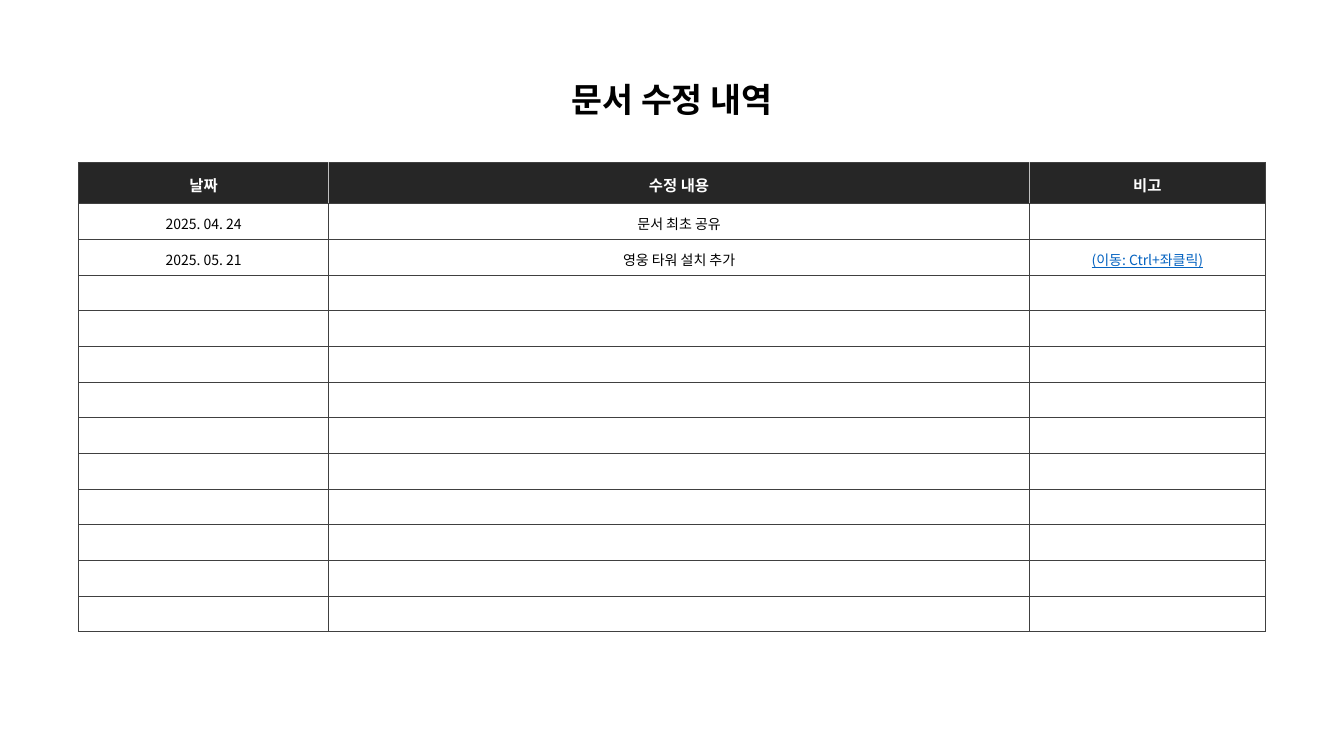
from lxml.etree import SubElement
from pptx import Presentation
from pptx.dml.color import RGBColor
from pptx.enum.text import MSO_ANCHOR, MSO_AUTO_SIZE, PP_ALIGN
from pptx.oxml.ns import qn
from pptx.util import Inches, Pt

FONT = "Noto Sans CJK KR"
DARK, GRID, LIGHT = "262626", "404040", "BFBFBF"
COLS = [2.48, 6.95, 2.34]
HEAD = ["날짜", "수정 내용", "비고"]
LOG = [
    ["2025. 04. 24", "문서 최초 공유", ""],
    ["2025. 05. 21", "영웅 타워 설치 추가", "(이동: Ctrl+좌클릭)"],
]
LINES = 12


def color(code):
    return RGBColor.from_string(code)


def write(frame, text, size=10, fill="000000", bold=False, under=False, space=1.2):
    """Put one centred line in a frame; an empty line keeps its size."""
    frame.vertical_anchor = MSO_ANCHOR.MIDDLE
    para = frame.paragraphs[0]
    para.alignment = PP_ALIGN.CENTER
    para.line_spacing = space
    if not text:
        SubElement(para._p, qn("a:endParaRPr"), sz=str(size * 100))
        return
    run = para.add_run()
    run.text = text
    font = run.font
    font.name, font.size, font.bold = FONT, Pt(size), bold
    font.underline = under
    font.color.rgb = color(fill)
    SubElement(run._r.get_or_add_rPr(), qn("a:ea"), typeface=FONT)


def edge(cell, sides):
    """Draw the borders, given as colours for left, right, top, bottom."""
    props = cell._tc.get_or_add_tcPr()
    for spot, (side, code) in enumerate(zip("LRTB", sides)):
        line = SubElement(props, qn(f"a:ln{side}"), w=str(Pt(0.5)))
        solid = SubElement(line, qn("a:solidFill"))
        SubElement(solid, qn("a:srgbClr"), val=code)
        props.insert(spot, line)


def add_title(slide, left, top, width, height):
    title = slide.shapes.title
    title.left, title.top = Inches(left), Inches(top)
    title.width, title.height = Inches(width), Inches(height)
    frame = title.text_frame
    frame.word_wrap = False
    frame.auto_size = MSO_AUTO_SIZE.SHAPE_TO_FIT_TEXT
    write(frame, "문서 수정 내역", size=24, bold=True, space=1.0)


def add_log(slide, left, top, width, height, head=0.41):
    rows = [HEAD] + LOG + [[""] * len(COLS)] * (LINES - len(LOG))
    table = slide.shapes.add_table(
        len(rows), len(COLS), Inches(left), Inches(top), Inches(width), Inches(height)
    ).table
    table.first_row = table.horz_banding = False
    for col, size in zip(table.columns, COLS):
        col.width = Inches(size * width / sum(COLS))
    last = len(COLS) - 1
    for r, texts in enumerate(rows):
        table.rows[r].height = Inches((height - head) / LINES if r else head)
        for c, text in enumerate(texts):
            cell = table.cell(r, c)
            cell.vertical_anchor = MSO_ANCHOR.MIDDLE
            cell.fill.solid()
            cell.fill.fore_color.rgb = color("FFFFFF" if r else DARK)
            inner = GRID if r else LIGHT
            edge(cell, [inner if c else GRID, inner if c < last else GRID, GRID, GRID])
            if r == 0:
                write(cell.text_frame, text, size=11, fill="FFFFFF", bold=True)
            elif c == last:
                write(cell.text_frame, text, fill="0563C1", under=True)
            else:
                write(cell.text_frame, text)


def main():
    deck = Presentation()
    deck.slide_width, deck.slide_height = Inches(13.33), Inches(7.5)
    slide = deck.slides.add_slide(deck.slide_layouts[5])
    add_title(slide, 5.5, 0.73, 2.33, 0.5)
    add_log(slide, 0.78, 1.61, 11.77, 4.66)
    deck.save("out.pptx")


if __name__ == "__main__":
    main()
